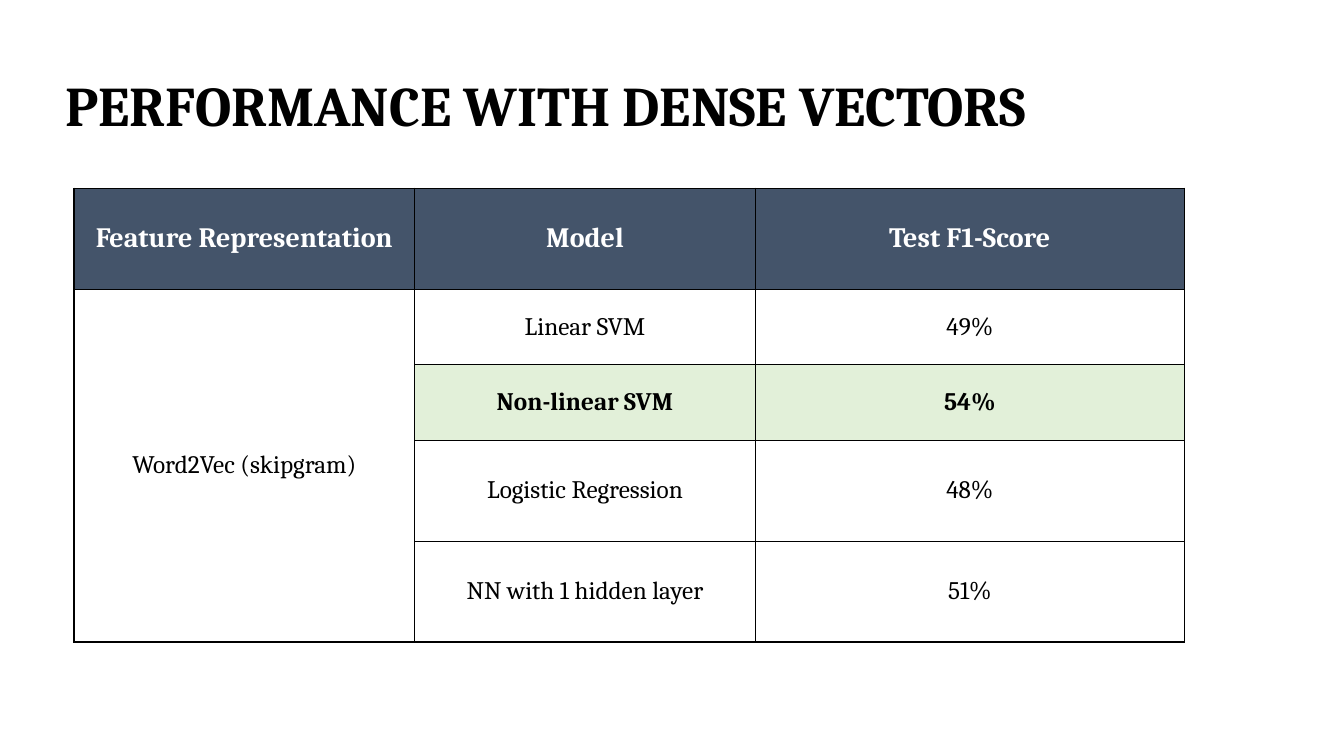
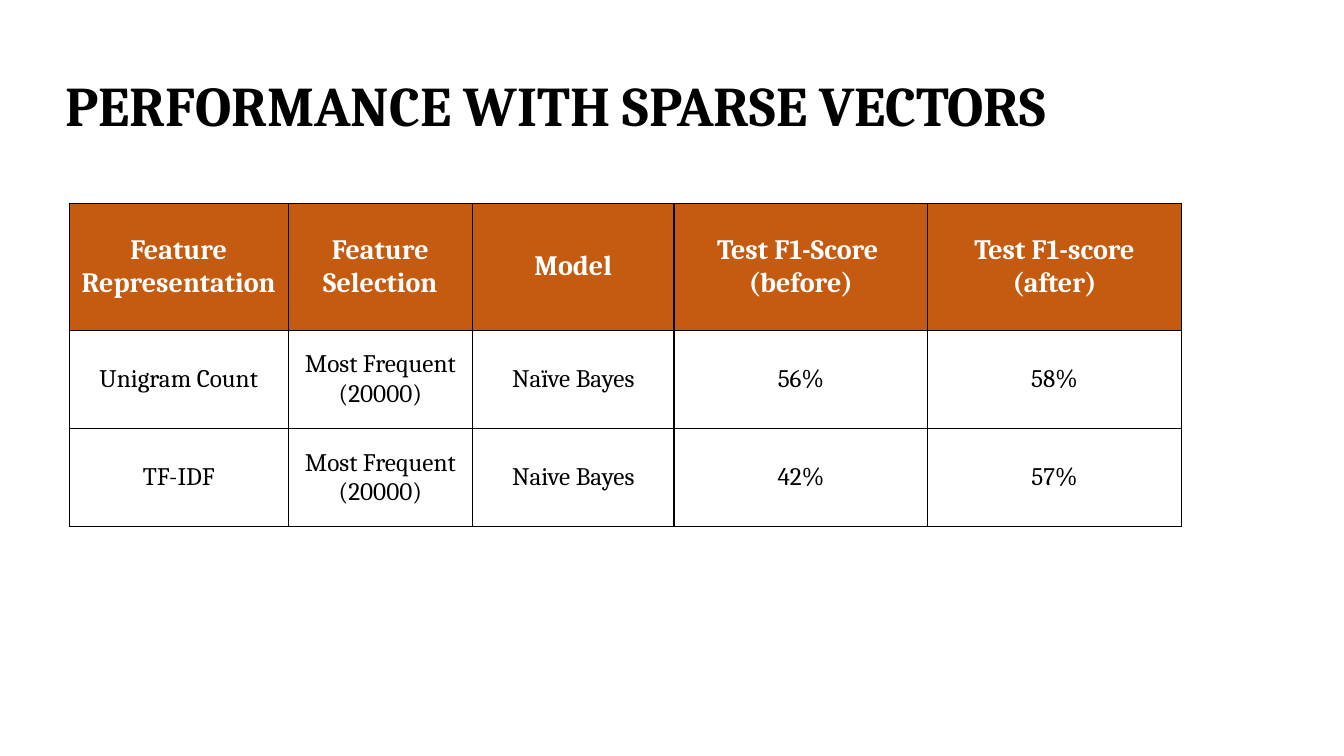
import pptx
import pptx.util
import pptx.dml.color
import pptx.enum.text
import pptx.oxml
import pptx.oxml.ns

Pt = pptx.util.Pt
MIDDLE = pptx.enum.text.MSO_ANCHOR.MIDDLE
CENTER = pptx.enum.text.PP_ALIGN.CENTER

# Shared look
FONT = "Cambria"
BLACK, WHITE = "000000", "FFFFFF"
SLATE, ORANGE, GREEN = "44546A", "C55A11", "E2F0D9"
TITLE_BOX = (39.6, 25.2, 828, 104.4)


def color(code):
    return pptx.dml.color.RGBColor.from_string(code)


def style(para, size, ink, bold):
    font = para.font
    font.name, font.size, font.bold = FONT, Pt(size), bold
    font.color.rgb = color(ink)


def add_title(slide, box, text):
    frame = slide.shapes.add_textbox(*map(Pt, box)).text_frame
    frame.word_wrap = True
    frame.vertical_anchor = MIDDLE
    frame.text = text
    para = frame.paragraphs[0]
    para.line_spacing = 0.9
    style(para, 40, BLACK, True)


def add_border(cell):
    props = cell._tc.get_or_add_tcPr()
    for side in ("lnL", "lnR", "lnT", "lnB"):
        props.append(pptx.oxml.parse_xml(
            f'<a:{side} {pptx.oxml.ns.nsdecls("a")} w="{Pt(1)}"><a:solidFill>'
            f'<a:srgbClr val="{BLACK}"/></a:solidFill></a:{side}>'))


def fill_cell(cell, text, pad, size, ink, bold, back):
    cell.margin_left = cell.margin_right = Pt(pad)
    cell.margin_top = cell.margin_bottom = Pt(pad)
    cell.vertical_anchor = MIDDLE
    add_border(cell)
    if back:
        cell.fill.solid()
        cell.fill.fore_color.rgb = color(back)
    else:
        cell.fill.background()
    cell.text = text
    for para in cell.text_frame.paragraphs:
        para.alignment = CENTER
        style(para, size, ink, bold)


def add_grid(slide, left, top, cols, rows, data, head, pad, best=None):
    """Draw a table with a head colour and, if given, a best row."""
    table = slide.shapes.add_table(
        len(rows), len(cols), Pt(left), Pt(top),
        Pt(sum(cols)), Pt(sum(rows))).table
    table.first_row = table.horz_banding = False
    for col, width in zip(table.columns, cols):
        col.width = Pt(width)
    for row, height in zip(table.rows, rows):
        row.height = Pt(height)
    for r, line in enumerate(data):
        for c, text in enumerate(line):
            if r == 0:
                look = (20, WHITE, True, head)
            elif r == best and c > 0:
                look = (18, BLACK, True, GREEN)
            else:
                look = (18, BLACK, False, None)
            fill_cell(table.cell(r, c), text, pad, *look)
    return table


def dense_slide(slide):
    add_title(slide, TITLE_BOX, "PERFORMANCE WITH DENSE VECTORS")
    data = [
        ("Feature Representation", "Model", "Test F1-Score"),
        ("Word2Vec (skipgram)", "Linear SVM", "49%"),
        ("", "Non-linear SVM", "54%"),
        ("", "Logistic Regression", "48%"),
        ("", "NN with 1 hidden layer", "51%"),
    ]
    table = add_grid(slide, 52.8, 134.5, (243.4, 243.4, 306.4),
                     (72, 54, 54, 72, 72), data, SLATE, 4.5, best=2)
    # One feature spans all models
    table.cell(1, 0).merge(table.cell(4, 0))


def sparse_slide(slide):
    add_title(slide, TITLE_BOX, "PERFORMANCE WITH SPARSE VECTORS")
    data = [
        ("Feature Representation", "Feature Selection", "Model",
         "Test F1-Score \n(before)", "Test F1-score\n(after)"),
        ("Unigram Count", "Most Frequent (20000)", "Naïve Bayes",
         "56%", "58%"),
        ("TF-IDF", "Most Frequent (20000)", "Naive Bayes", "42%", "57%"),
    ]
    add_grid(slide, 49.5, 145.3, (156.4, 131.6, 144, 181.2, 181.2),
             (90.6, 70.2, 70.2), data, ORANGE, 5)


def main():
    deck = pptx.Presentation()
    deck.slide_width, deck.slide_height = Pt(960), Pt(540)
    for build in (dense_slide, sparse_slide):
        build(deck.slides.add_slide(deck.slide_layouts[6]))
    deck.save("out.pptx")


if __name__ == "__main__":
    main()
